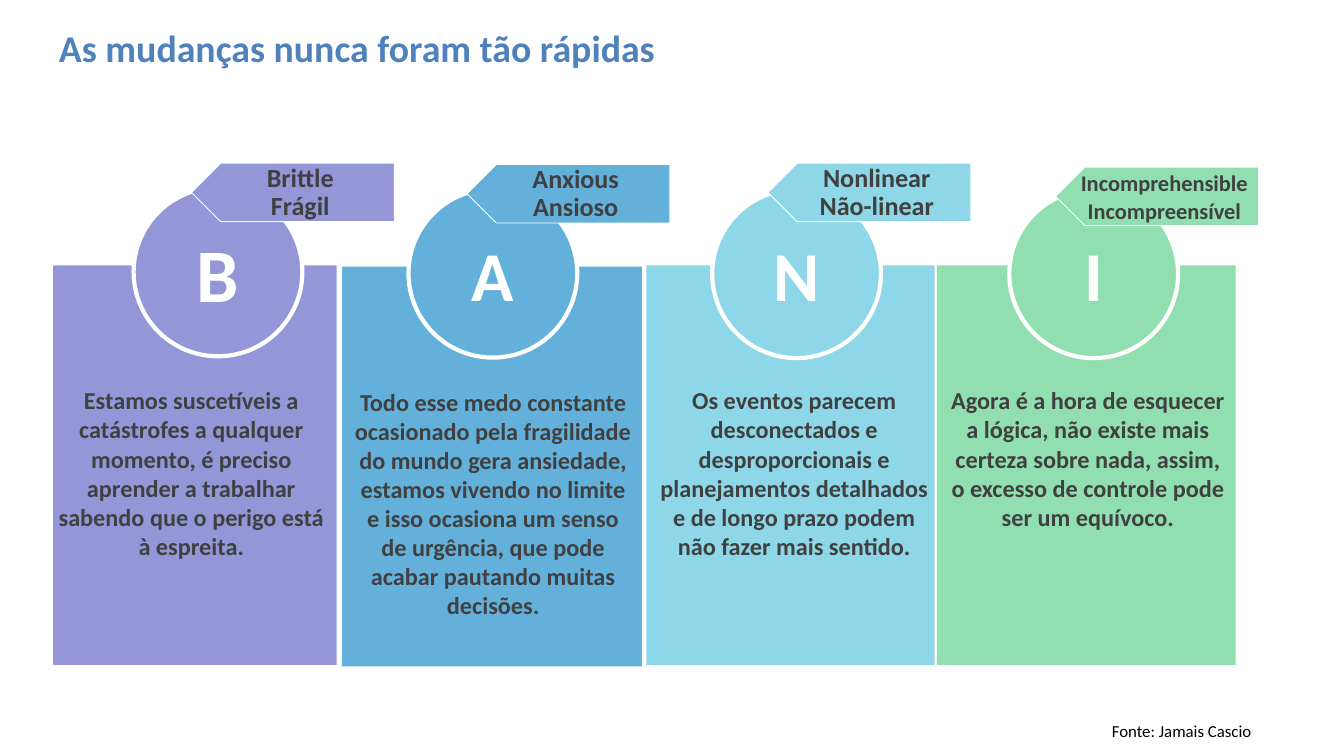
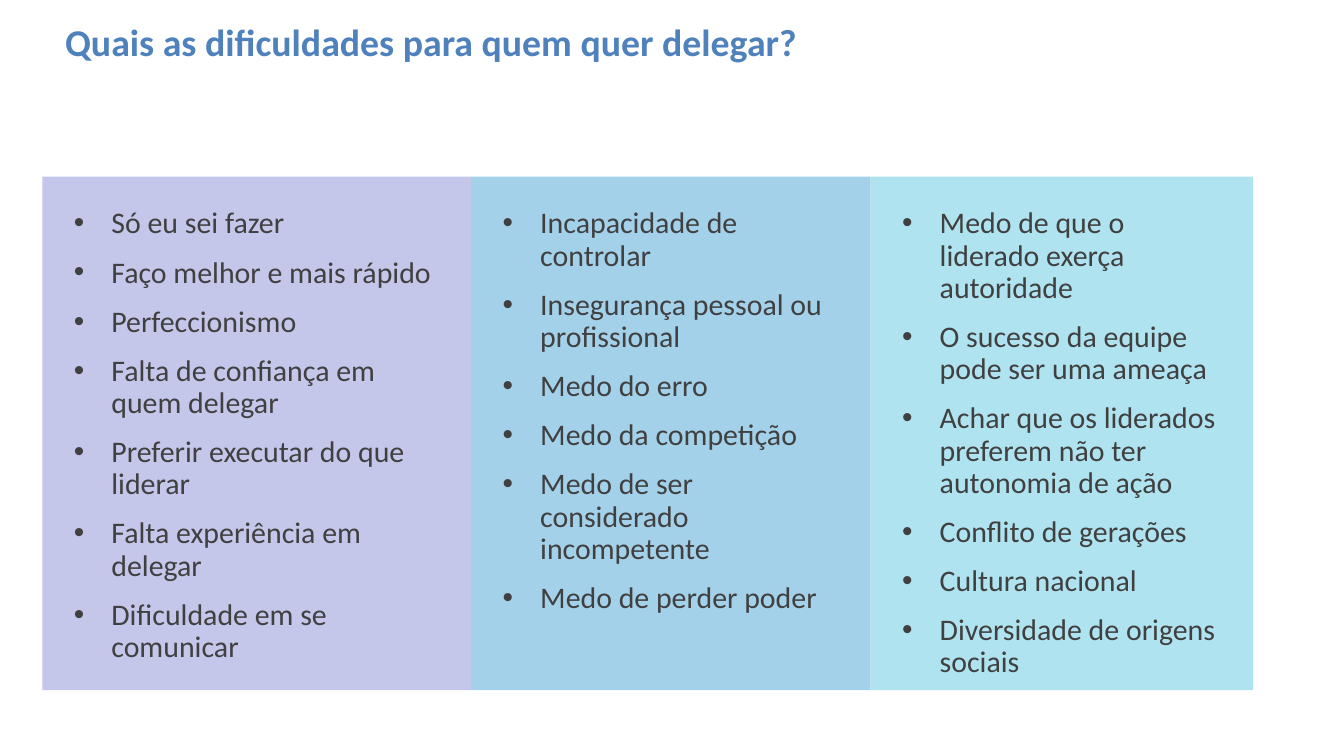
import pptx
import pptx.dml.color
import pptx.enum.shapes
import pptx.enum.text
import pptx.oxml.ns
import pptx.util
from lxml import etree

Cm = pptx.util.Cm
Pt = pptx.util.Pt
Shape = pptx.enum.shapes.MSO_SHAPE
Align = pptx.enum.text.PP_ALIGN
Anchor = pptx.enum.text.MSO_ANCHOR

FONT = "Calibri"
WHITE = "FFFFFF"
BLACK = "000000"
DARK = "404040"
TITLE_BLUE = "4F81BD"
LILAC, BLUE, CYAN, GREEN = "9397D8", "63B1DB", "8ED7E8", "91DFB1"
PALE_LILAC, PALE_BLUE, PALE_CYAN = "C4C6EA", "A4D1EA", "AFE3EF"

NARROW_MARGINS = (0.25, 0.13, 0.25, 0.13)
BODY_MARGINS = (0.38, 0.2, 0.38, 0.2)
LIST_MARGINS = (1.19, 1.19, 1.04, 0)


def color(code):
    return pptx.dml.color.RGBColor.from_string(code)


def apply(target, values):
    for name, value in values.items():
        setattr(target, name, value)


class Deck:
    def __init__(self):
        self.presentation = pptx.Presentation()
        apply(self.presentation, {"slide_width": Cm(50.8), "slide_height": Cm(28.58)})
        self.slide = None

    def new_slide(self):
        self.slide = self.presentation.slides.add_slide(self.presentation.slide_layouts[6])

    def set_text(self, shape, lines, size, ink, bold=False, margins=NARROW_MARGINS,
                 anchor=Anchor.TOP, bullet=False, **paragraph_format):
        frame = shape.text_frame
        sides = ("margin_left", "margin_top", "margin_right", "margin_bottom")
        apply(frame, {"word_wrap": True, "vertical_anchor": anchor})
        apply(frame, {side: Cm(value) for side, value in zip(sides, margins)})
        for index, line in enumerate(lines):
            paragraph = frame.add_paragraph() if index else frame.paragraphs[0]
            apply(paragraph, paragraph_format)
            if bullet:
                if index:
                    paragraph.space_before = Pt(18)
                self.add_bullet(paragraph, ink)
            run = paragraph.add_run()
            run.text = line
            apply(run.font, {"name": FONT, "size": Pt(size), "bold": bold})
            run.font.color.rgb = color(ink)

    def add_bullet(self, paragraph, ink):
        properties = paragraph._p.get_or_add_pPr()
        properties.set("marL", str(Cm(1.42)))
        properties.set("indent", str(-Cm(1.42)))
        qualified = pptx.oxml.ns.qn
        bullet_color = etree.SubElement(properties, qualified("a:buClr"))
        etree.SubElement(bullet_color, qualified("a:srgbClr")).set("val", ink)
        etree.SubElement(properties, qualified("a:buFont")).set("typeface", "Arial")
        etree.SubElement(properties, qualified("a:buChar")).set("char", "•")

    def shape(self, kind, left, top, width, height, fill, line_width=0):
        shape = self.slide.shapes.add_shape(kind, Cm(left), Cm(top), Cm(width), Cm(height))
        shape.shadow.inherit = False
        shape.fill.solid()
        shape.fill.fore_color.rgb = color(fill)
        if line_width:
            shape.line.color.rgb = color(WHITE)
            shape.line.width = Pt(line_width)
        else:
            shape.line.fill.background()
        return shape

    def text(self, left, top, width, height, content, size, ink, **style):
        box = self.slide.shapes.add_textbox(Cm(left), Cm(top), Cm(width), Cm(height))
        self.set_text(box, [content], size, ink, **style)

    def title(self, left, top, width, height, content):
        self.text(left, top, width, height, content, 40.5, TITLE_BLUE,
                  bold=True, anchor=Anchor.MIDDLE)

    def panel(self, left, top, width, height, fill):
        return self.shape(Shape.RECTANGLE, left, top, width, height, fill)

    def letter_circle(self, left, top, letter, size, fill):
        circle = self.shape(Shape.OVAL, left, top, 6.38, 6.38, fill, 4.5)
        self.set_text(circle, [letter], size, WHITE, bold=True,
                      anchor=Anchor.MIDDLE, alignment=Align.CENTER)

    def name_tag(self, left, top, names, size, fill):
        tag = self.shape(Shape.PENTAGON, left, top, 7.67, 2.21, fill, 1)
        tag._element.spPr.xfrm.set("flipH", "1")
        self.set_text(tag, names, size, DARK, bold=True, anchor=Anchor.MIDDLE,
                      alignment=Align.CENTER, line_spacing=Pt(30))

    def list_panel(self, left, width, fill, items):
        panel = self.panel(left, 6.68, width, 19.41, fill)
        self.set_text(panel, items, 32, DARK, margins=LIST_MARGINS, bullet=True,
                      alignment=Align.LEFT, line_spacing=0.9)


BANI = [
    {"fill": LILAC, "panel": (2.01, 10.03, 10.72), "circle": (5.05, 7.09, "B", 81),
     "body": (1.52, 14.38), "tag": (7.24, 6.17, ["Brittle", "Frágil"], 28),
     "words": "Estamos suscetíveis a catástrofes a qualquer momento, é preciso "
              "aprender a trabalhar sabendo que o perigo está à espreita."},
    {"fill": BLUE, "panel": (12.93, 10.08, 11.33), "circle": (15.44, 7.14, "A", 75),
     "body": (12.93, 14.43), "tag": (17.65, 6.22, ["Anxious", "Ansioso"], 28),
     "words": "Todo esse medo constante ocasionado pela fragilidade do mundo gera "
              "ansiedade, estamos vivendo no limite e isso ocasiona um senso de "
              "urgência, que pode acabar pautando muitas decisões."},
    {"fill": CYAN, "panel": (24.43, 10.03, 10.9), "circle": (26.92, 7.16, "N", 75),
     "body": (24.31, 14.38), "tag": (29.03, 6.17, ["Nonlinear", "Não-linear"], 28),
     "words": "Os eventos parecem desconectados e desproporcionais e planejamentos "
              "detalhados e de longo prazo podem não fazer mais sentido."},
    {"fill": GREEN, "panel": (35.41, 10.03, 11.3), "circle": (38.15, 7.16, "I", 75),
     "body": (35.41, 14.38), "tag": (39.9, 6.32, ["Incomprehensible", "Incompreensível"], 24),
     "words": "Agora é a hora de esquecer a lógica, não existe mais certeza sobre "
              "nada, assim, o excesso de controle pode ser um equívoco."},
]

DIFFICULTIES = [
    (16.21, PALE_LILAC, [
        "Só eu sei fazer",
        "Faço melhor e mais rápido",
        "Perfeccionismo",
        "Falta de confiança em quem delegar",
        "Preferir executar do que liderar",
        "Falta experiência em delegar",
        "Dificuldade em se comunicar",
    ]),
    (15.1, PALE_BLUE, [
        "Incapacidade de controlar",
        "Insegurança pessoal ou profissional",
        "Medo do erro",
        "Medo da competição",
        "Medo de ser considerado incompetente",
        "Medo de perder poder",
    ]),
    (14.45, PALE_CYAN, [
        "Medo de que o liderado exerça autoridade",
        "O sucesso da equipe pode ser uma ameaça",
        "Achar que os liderados preferem não ter autonomia de ação",
        "Conflito de gerações",
        "Cultura nacional",
        "Diversidade de origens sociais",
    ]),
]


def build_bani(deck):
    deck.new_slide()
    for column in BANI:
        fill = column["fill"]
        deck.panel(*column["panel"], 15.11, fill)
        deck.letter_circle(*column["circle"], fill)
        deck.text(*column["body"], 11.43, 3.61, column["words"], 26, DARK,
                  bold=True, margins=BODY_MARGINS, alignment=Align.CENTER)
        deck.name_tag(*column["tag"], fill)
    deck.text(22.15, 27.13, 25.4, 1.02, "Fonte: Jamais Cascio", 18, BLACK,
              alignment=Align.RIGHT)
    deck.title(1.98, 0.89, 34.67, 1.8, "As mudanças nunca foram tão rápidas")


def build_difficulties(deck):
    deck.new_slide()
    deck.title(2.21, 0.28, 44.32, 2.57, "Quais as dificuldades para quem quer delegar?")
    left = 1.6
    for width, fill, items in DIFFICULTIES:
        deck.list_panel(left, width, fill, items)
        left += width


def main():
    deck = Deck()
    build_bani(deck)
    build_difficulties(deck)
    deck.presentation.save("out.pptx")


if __name__ == "__main__":
    main()
